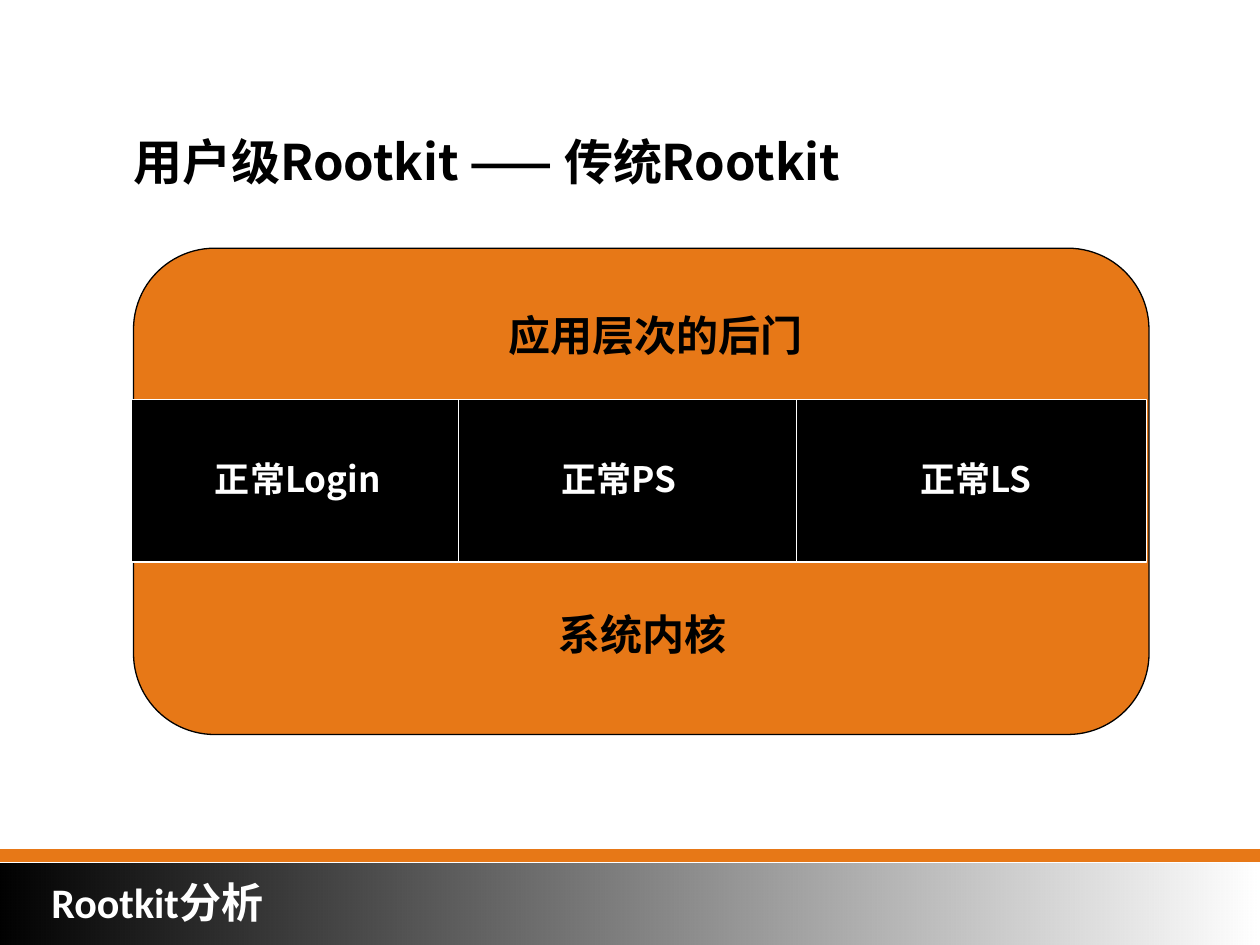
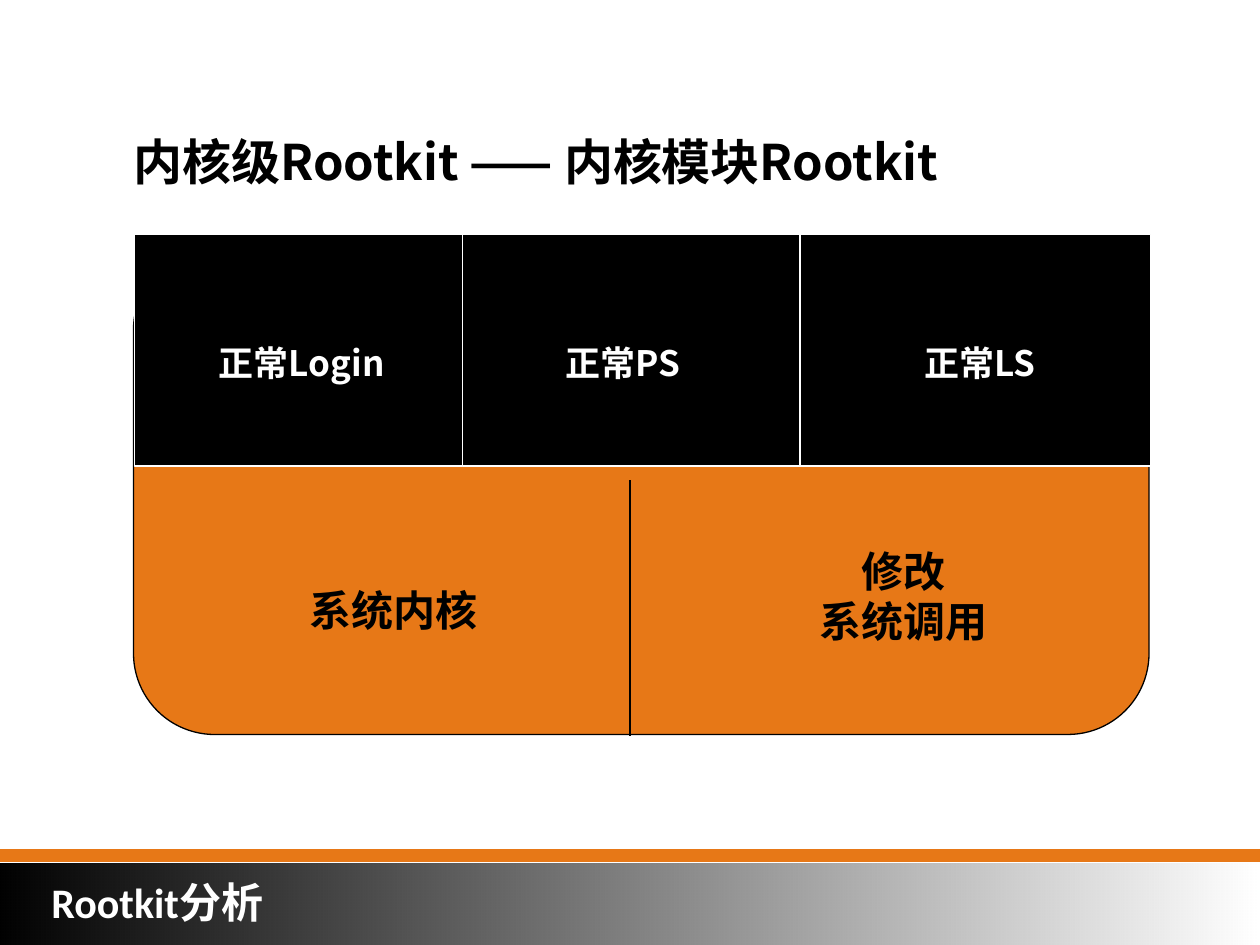
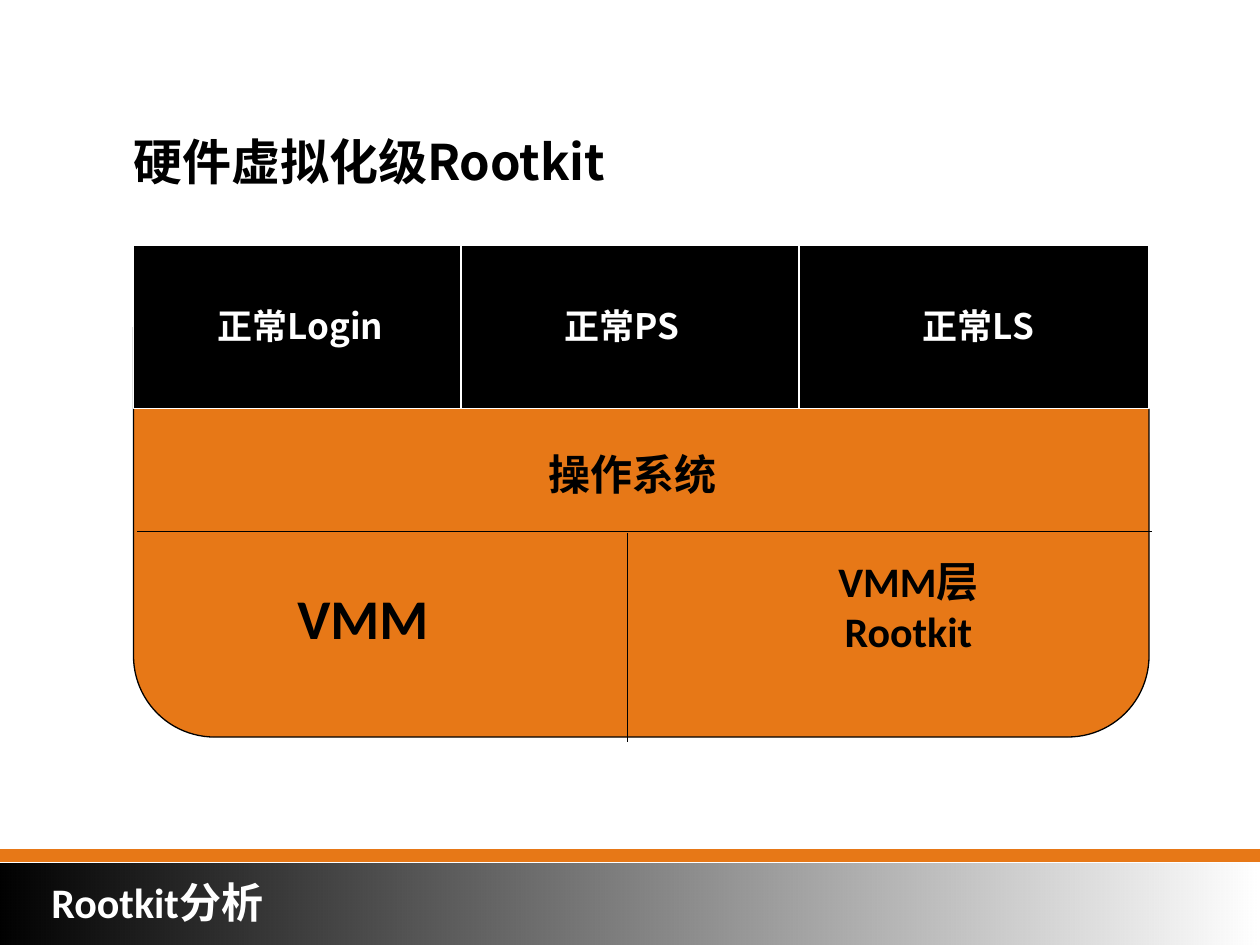
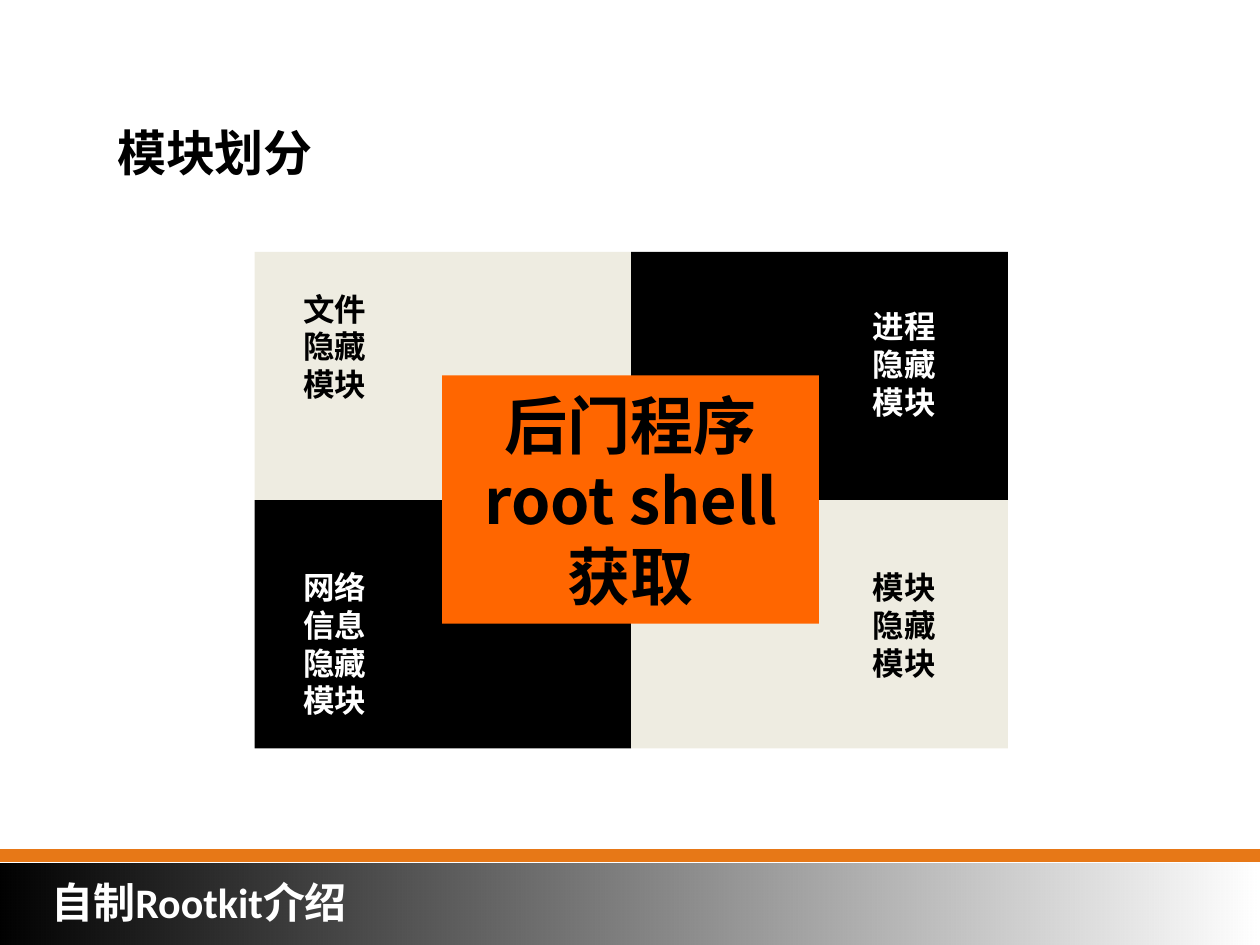
from dataclasses import dataclass
from typing import NamedTuple

from lxml.etree import SubElement
from pptx import Presentation
from pptx.dml.color import RGBColor
from pptx.enum.shapes import MSO_CONNECTOR, MSO_SHAPE
from pptx.enum.text import MSO_ANCHOR, MSO_AUTO_SIZE, PP_ALIGN
from pptx.oxml.ns import qn
from pptx.shapes.autoshape import Shape
from pptx.slide import Slide, SlideLayout
from pptx.text.text import TextFrame
from pptx.util import Emu, Pt

PX = 9144  # 100 px to the inch

BLACK, WHITE = "000000", "FFFFFF"
ORANGE, BRIGHT_ORANGE, CREAM = "E77817", "FF6600", "EEECE1"
LATIN, CJK = "Calibri", "Noto Sans CJK SC"
LEFT, CENTER = PP_ALIGN.LEFT, PP_ALIGN.CENTER


class Box(NamedTuple):
    left: int
    top: int
    width: int
    height: int

    def emu(self) -> tuple[Emu, ...]:
        return tuple(px(length) for length in self)


@dataclass(frozen=True)
class Style:
    size: int
    color: str = BLACK
    font: str = LATIN
    align: PP_ALIGN = CENTER


@dataclass(frozen=True)
class Label:
    lines: tuple[str, ...]
    box: Box
    style: Style


@dataclass(frozen=True)
class Process:
    name: str
    width: int
    label_inset: int
    label_height: int = 44


@dataclass(frozen=True)
class ProcessRow:
    left: int
    top: int
    height: int
    label_top: int


@dataclass(frozen=True)
class Divider:
    x1: int
    y1: int
    x2: int
    y2: int


@dataclass(frozen=True)
class RootkitSlide:
    title: str
    system_top: int
    row: ProcessRow
    layers: tuple[Label, ...]
    dividers: tuple[Divider, ...] = ()


TITLE = Style(28, font=CJK, align=LEFT)
SECTION = Style(24, WHITE, align=LEFT)
LAYER = Style(24)
PROCESS = Style(20, WHITE, CJK)

PROCESSES = (
    Process("正常Login", 260, 54, 77),
    Process("正常PS", 268, 49),
    Process("正常LS", 278, 64),
)

ROOTKIT_SLIDES = (
    RootkitSlide(
        "用户级Rootkit —— 传统Rootkit",
        197,
        ProcessRow(104, 317, 129, 358),
        (
            Label(("应用层次的后门",), Box(359, 241, 323, 50), LAYER),
            Label(("系统内核",), Box(386, 478, 248, 50), LAYER),
        ),
    ),
    RootkitSlide(
        "内核级Rootkit —— 内核模块Rootkit",
        197,
        ProcessRow(107, 186, 184, 266),
        (
            Label(("系统内核",), Box(188, 459, 248, 50), LAYER),
            Label(("修改", "系统调用"), Box(593, 428, 248, 90), LAYER),
        ),
        (Divider(500, 381, 500, 584),),
    ),
    RootkitSlide(
        "硬件虚拟化级Rootkit",
        199,
        ProcessRow(106, 195, 129, 237),
        (
            Label(("操作系统",), Box(378, 351, 248, 50), LAYER),
            Label(("VMM",), Box(164, 458, 248, 64), Style(32)),
            Label(("VMM层", "Rootkit"), Box(597, 436, 248, 90), LAYER),
        ),
        (Divider(109, 422, 914, 422), Divider(498, 423, 498, 589)),
    ),
)


def px(length: int) -> Emu:
    return Emu(length * PX)


def rgb(color: str) -> RGBColor:
    return RGBColor.from_string(color)


def write(frame: TextFrame, lines: tuple[str, ...], style: Style) -> None:
    for index, line in enumerate(lines):
        paragraph = frame.add_paragraph() if index else frame.paragraphs[0]
        paragraph.alignment = style.align
        run = paragraph.add_run()
        run.text = line
        font = run.font
        font.size, font.bold, font.name = Pt(style.size), True, style.font
        font.color.rgb = rgb(style.color)
        east_asian = SubElement(run._r.get_or_add_rPr(), qn("a:ea"))
        east_asian.set("typeface", CJK)


def add_label(slide: Slide, label: Label) -> None:
    frame = slide.shapes.add_textbox(*label.box.emu()).text_frame
    frame.word_wrap = True
    frame.auto_size = MSO_AUTO_SIZE.SHAPE_TO_FIT_TEXT
    write(frame, label.lines, label.style)


def add_block(
    slide: Slide,
    box: Box,
    fill: str,
    line: str | None = None,
    kind: MSO_SHAPE = MSO_SHAPE.RECTANGLE,
) -> Shape:
    block = slide.shapes.add_shape(kind, *box.emu())
    block.shadow.inherit = False
    block.fill.solid()
    block.fill.fore_color.rgb = rgb(fill)
    if line:
        block.line.color.rgb = rgb(line)
        block.line.width = Pt(0.75)
    else:
        block.line.fill.background()
    return block


def add_divider(slide: Slide, divider: Divider) -> None:
    ends = (divider.x1, divider.y1, divider.x2, divider.y2)
    line = slide.shapes.add_connector(MSO_CONNECTOR.STRAIGHT, *map(px, ends))
    line.line.color.rgb = rgb(BLACK)
    line.line.width = Pt(0.75)
    SubElement(line._element.spPr, qn("a:effectLst"))


def move_bands_to_layout(slide: Slide, layout: SlideLayout) -> None:
    """Draw the footer bands on a slide, then hand them to its layout."""
    stripe = add_block(slide, Box(0, 674, 1000, 10), ORANGE)
    fade = add_block(slide, Box(0, 685, 1000, 69), BLACK)
    fade.fill.gradient()
    fade.fill.gradient_angle = 180
    for stop in fade.fill.gradient_stops:
        stop.color.rgb = rgb(BLACK)
    clear_end = next(fade._element.iter(qn("a:gs")))
    color = clear_end.find(qn("a:srgbClr"))
    for change in list(color):
        color.remove(change)
    SubElement(color, qn("a:alpha")).set("val", "0")
    for index, band in enumerate((stripe, fade), start=2):
        layout.shapes._spTree.insert(index, band._element)


def set_headings(
    slide: Slide, section: Label, title: str, title_box: Box, style: Style = TITLE
) -> None:
    add_label(slide, section)
    heading = slide.shapes.title
    heading.left, heading.top, heading.width, heading.height = title_box.emu()
    frame = heading.text_frame
    frame.word_wrap = True
    frame.auto_size = MSO_AUTO_SIZE.NONE
    frame.vertical_anchor = MSO_ANCHOR.TOP
    write(frame, (title,), style)


def add_process_row(slide: Slide, row: ProcessRow) -> None:
    left = row.left
    for process in PROCESSES:
        add_block(slide, Box(left, row.top, process.width, row.height), BLACK, WHITE)
        label_box = Box(
            left + process.label_inset, row.label_top, 157, process.label_height
        )
        add_label(slide, Label((process.name,), label_box, PROCESS))
        left += process.width


def fill_rootkit_slide(slide: Slide, content: RootkitSlide) -> None:
    section = Label(("Rootkit分析",), Box(31, 691, 212, 50), SECTION)
    set_headings(slide, section, content.title, Box(96, 99, 742, 57))
    system = add_block(
        slide,
        Box(106, content.system_top, 806, 386),
        ORANGE,
        BLACK,
        MSO_SHAPE.ROUNDED_RECTANGLE,
    )
    system.adjustments[0] = 0.167
    add_process_row(slide, content.row)
    for layer in content.layers:
        add_label(slide, layer)
    for divider in content.dividers:
        add_divider(slide, divider)


def fill_module_slide(slide: Slide) -> None:
    section = Label(("自制Rootkit介绍",), Box(31, 691, 317, 50), SECTION)
    title_style = Style(28, align=LEFT)
    set_headings(slide, section, "模块划分", Box(83, 92, 344, 57), title_style)

    left, top, width, height = 202, 200, 299, 197
    modules = (
        ("文件隐藏模块", Box(231, 225, 90, 100)),
        ("进程隐藏模块", Box(683, 239, 90, 100)),
        ("网络信息隐藏模块", Box(231, 446, 90, 130)),
        ("模块隐藏模块", Box(683, 446, 90, 100)),
    )
    for index, (name, label_box) in enumerate(modules):
        row, column = divmod(index, 2)
        fill, ink = (CREAM, BLACK) if row == column else (BLACK, WHITE)
        quarter = Box(left + column * width, top + row * height, width, height)
        add_block(slide, quarter, fill)
        add_label(slide, Label((name,), label_box, Style(18, ink, align=LEFT)))

    center = Box(left + width // 2, top + height // 2, width, height)
    backdoor = add_block(slide, center, BRIGHT_ORANGE).text_frame
    backdoor.word_wrap = False
    backdoor.vertical_anchor = MSO_ANCHOR.MIDDLE
    write(backdoor, ("后门程序", "root shell", "获取"), Style(36, font=CJK))


def main() -> None:
    deck = Presentation()
    deck.slide_width, deck.slide_height = px(1000), px(750)
    layout = deck.slide_layouts.get_by_name("Title Only")
    slides = [deck.slides.add_slide(layout) for _ in range(len(ROOTKIT_SLIDES) + 1)]
    move_bands_to_layout(slides[0], layout)
    for slide, content in zip(slides, ROOTKIT_SLIDES):
        fill_rootkit_slide(slide, content)
    fill_module_slide(slides[-1])
    deck.save("out.pptx")


if __name__ == "__main__":
    main()
